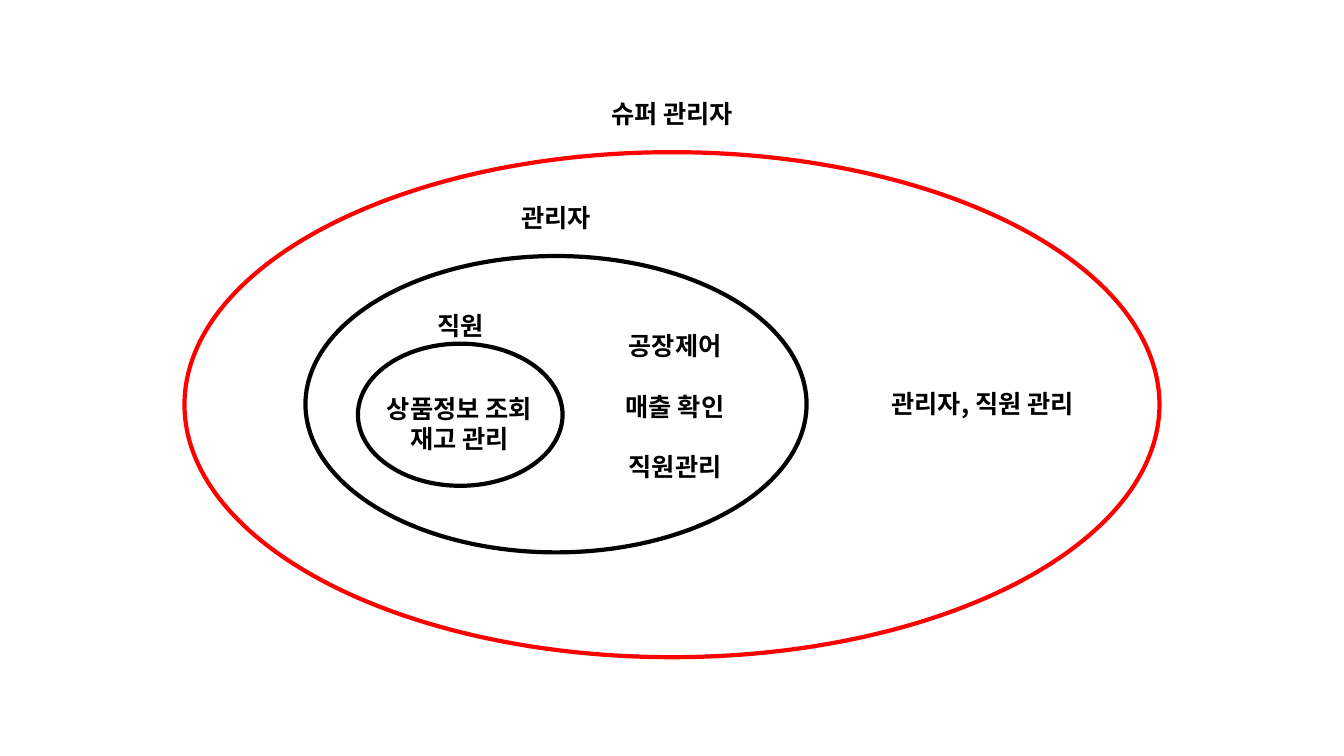
from pptx import Presentation
from pptx.dml.color import RGBColor
from pptx.enum.shapes import MSO_SHAPE as Preset
from pptx.enum.text import PP_ALIGN as Align
from pptx.oxml.ns import qn
from pptx.util import Inches, Pt
from lxml import etree

# Content: each role's ring (left, top, width, height) and the label's rise above it
COLORS = {"black": "000000", "red": "FF0000"}
ROLES = [
    ("직원", (3.55, 3.41, 2.03, 1.41), 0.4, "black"),
    ("관리자", (3.03, 2.54, 4.97, 2.94), 0.6, "black"),
    ("슈퍼 관리자", (1.83, 1.51, 9.67, 5.01), 0.6, "red"),
]
# Duties: lines, (left, top, width, height), empty lines between entries
DUTIES = [
    (["상품정보 조회", "재고 관리"], (3.44, 3.83, 2.23, 0.71), 0),
    (["공장제어", "매출 확인", "직원관리"], (5.87, 3.21, 1.65, 1.62), 1),
    (["관리자, 직원 관리"], (8.62, 3.78, 2.25, 0.4), 0),
]
FONT, SIZE, LEADING = "Noto Sans CJK KR", 18, 21.6
LABEL_WIDTH, LABEL_HEIGHT = 2.66, 0.4

deck = Presentation()
deck.slide_width, deck.slide_height = Inches(13.33), Inches(7.5)
page = deck.slides.add_slide(deck.slide_layouts[6])


def color(name):
    return RGBColor.from_string(COLORS[name])


def add_ring(area, line_color):
    ring = page.shapes.add_shape(Preset.OVAL, *map(Inches, area))
    ring.shadow.inherit = False
    ring.fill.background()
    ring.line.color.rgb = color(line_color)
    ring.line.width = Pt(3)


def add_text(lines, area, gap=0):
    box = page.shapes.add_textbox(*map(Inches, area))
    frame = box.text_frame
    frame.word_wrap = True
    frame.margin_top = Inches(0.07)
    for index, line in enumerate(lines):
        para = frame.add_paragraph() if index else frame.paragraphs[0]
        para.alignment = Align.CENTER
        para.line_spacing = Pt(LEADING)
        para.space_before = Pt(LEADING * gap if index else 0)
        span = para.add_run()
        span.text = line
        span.font.name, span.font.size, span.font.bold = FONT, Pt(SIZE), True
        span.font.color.rgb = color("black")
        # Hangul takes the East Asian typeface
        etree.SubElement(span.font._element, qn("a:ea"), typeface=FONT)


# Nested rings, each with its role centred above
for role, ring_area, rise, ring_color in ROLES:
    left, top, width, height = ring_area
    add_ring(ring_area, ring_color)
    label_left = left + (width - LABEL_WIDTH) / 2
    add_text([role], (label_left, top - rise, LABEL_WIDTH, LABEL_HEIGHT))

# Duties inside the rings
for duty_lines, duty_area, line_gap in DUTIES:
    add_text(duty_lines, duty_area, line_gap)

deck.save("out.pptx")
